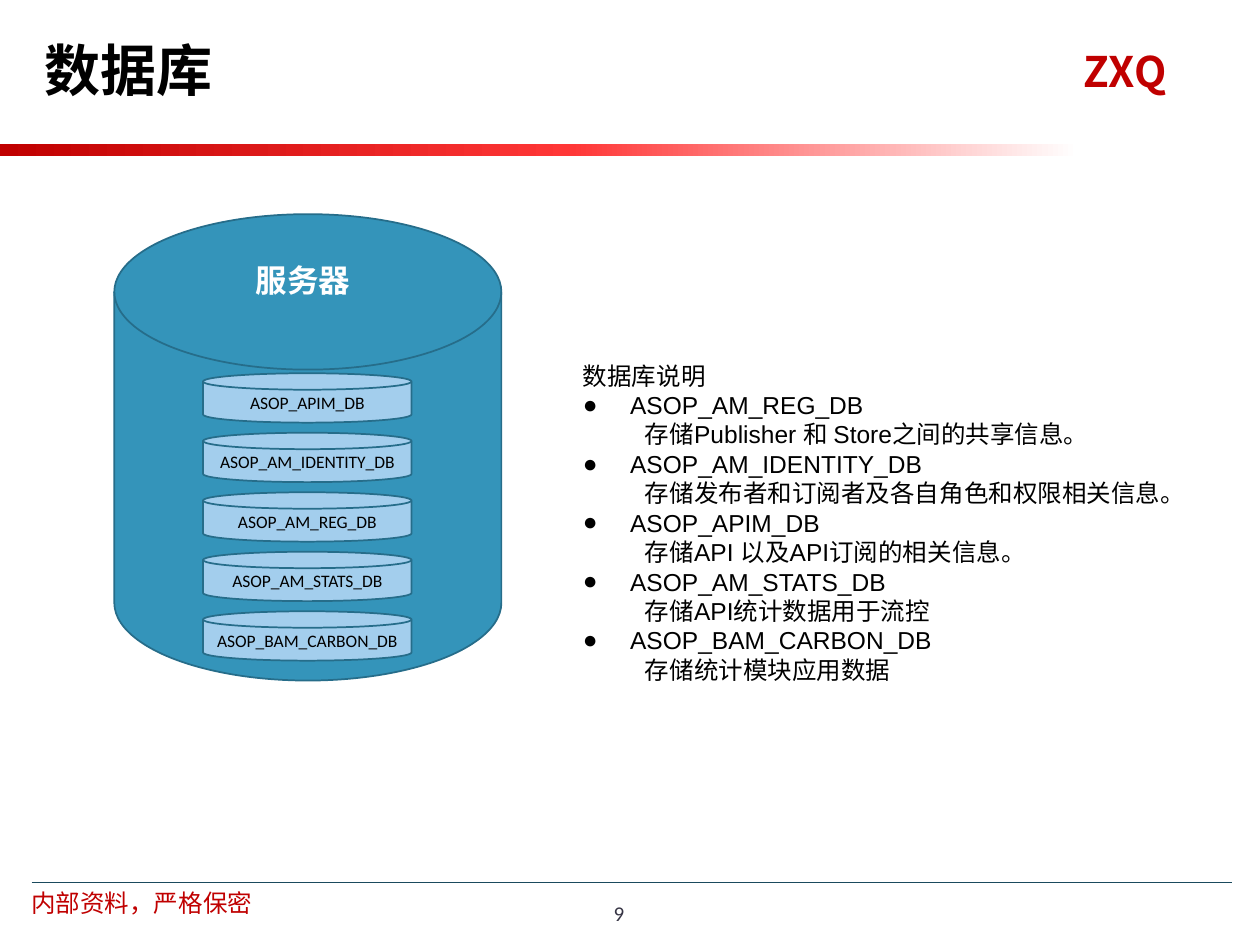
from copy import deepcopy
from pptx import Presentation
from pptx.dml.color import RGBColor
from pptx.enum.shapes import MSO_CONNECTOR, MSO_SHAPE
from pptx.enum.text import MSO_ANCHOR, MSO_AUTO_SIZE, PP_ALIGN
from pptx.oxml.ns import qn
from pptx.util import Pt
from lxml.etree import SubElement

RED = RGBColor(0xC0, 0x00, 0x00)
CORAL = RGBColor(0xFF, 0x37, 0x37)
WHITE = RGBColor(0xFF, 0xFF, 0xFF)
BLACK = RGBColor(0x00, 0x00, 0x00)
GREY = RGBColor(0x37, 0x35, 0x45)
BLUE = RGBColor(0x34, 0x94, 0xBA)
SKY = RGBColor(0xA3, 0xCE, 0xED)
EDGE = RGBColor(0x26, 0x6D, 0x8A)
NAVY = RGBColor(0x1A, 0x4A, 0x5D)
HAN = "Noto Sans CJK SC"

STORES = ["ASOP_APIM_DB", "ASOP_AM_IDENTITY_DB", "ASOP_AM_REG_DB",
          "ASOP_AM_STATS_DB", "ASOP_BAM_CARBON_DB"]
NOTES = [
    ("ASOP_AM_REG_DB", "存储Publisher 和 Store之间的共享信息。"),
    ("ASOP_AM_IDENTITY_DB", "存储发布者和订阅者及各自角色和权限相关信息。"),
    ("ASOP_APIM_DB", "存储API 以及API订阅的相关信息。"),
    ("ASOP_AM_STATS_DB", "存储API统计数据用于流控"),
    ("ASOP_BAM_CARBON_DB", "存储统计模块应用数据"),
]


def style(item, form):
    """Set each attribute named in a dict of format values."""
    for name, value in form.items():
        setattr(item, name, value)


def write(para, text, size, color, face=HAN, bold=False):
    """Add one run with its Latin and East Asian fonts."""
    run = para.add_run()
    run.text = text
    style(run.font, {"size": Pt(size), "name": face, "bold": bold})
    run.font.color.rgb = color
    SubElement(run.font._element, qn("a:ea"), typeface=HAN)


def label(slide, box, text, size, color, face=HAN, bold=False,
          align=PP_ALIGN.CENTER, anchor=MSO_ANCHOR.TOP):
    """Add a text box holding one line."""
    frame = slide.shapes.add_textbox(*map(Pt, box)).text_frame
    style(frame, {"word_wrap": True, "vertical_anchor": anchor})
    para = frame.paragraphs[0]
    para.alignment = align
    write(para, text, size, color, face, bold)


def head(slide, text):
    """Place and format the title."""
    title = slide.shapes.title
    style(title, {"left": Pt(18), "top": Pt(6), "width": Pt(121), "height": Pt(67)})
    style(title.text_frame, {"auto_size": MSO_AUTO_SIZE.NONE,
                             "vertical_anchor": MSO_ANCHOR.MIDDLE})
    para = title.text_frame.paragraphs[0]
    para.alignment = PP_ALIGN.LEFT
    write(para, text, 32, BLACK, bold=True)


def band(slide, box, stops):
    """Add a bar that fades through the given colour stops."""
    bar = slide.shapes.add_shape(MSO_SHAPE.RECTANGLE, *map(Pt, box))
    bar.shadow.inherit = False
    bar.line.fill.background()
    bar.fill.gradient()
    bar.fill.gradient_angle = 0
    marks = bar._element.spPr.find(".//" + qn("a:gsLst"))
    for _ in stops[2:]:
        marks.append(deepcopy(marks[0]))
    for mark, (place, color) in zip(bar.fill.gradient_stops, stops):
        mark.position = place
        mark.color.rgb = color


def rule(slide, left, right, top):
    """Draw the thin line above the footer."""
    line = slide.shapes.add_connector(
        MSO_CONNECTOR.STRAIGHT, Pt(left), Pt(top), Pt(right), Pt(top))
    line.line.color.rgb = NAVY
    line.line.width = Pt(0.5)
    SubElement(line._element.spPr, qn("a:effectLst"))


def disk(slide, box, fill, text=""):
    """Add a database cylinder with an optional name."""
    can = slide.shapes.add_shape(MSO_SHAPE.FLOWCHART_MAGNETIC_DISK, *map(Pt, box))
    can.shadow.inherit = False
    can.fill.solid()
    can.fill.fore_color.rgb = fill
    can.line.color.rgb = EDGE
    can.line.width = Pt(1)
    if text:
        frame = can.text_frame
        sides = ("left", "top", "right", "bottom")
        style(frame, {f"margin_{side}": 0 for side in sides})
        style(frame, {"word_wrap": False, "vertical_anchor": MSO_ANCHOR.MIDDLE})
        frame.paragraphs[0].alignment = PP_ALIGN.CENTER
        write(frame.paragraphs[0], text, 10, BLACK, "Calibri")


def entry(para, text, left, level=0, mark=None):
    """Fill one paragraph with a hanging indent and an optional bullet."""
    para.level = level
    props = para._p.get_or_add_pPr()
    props.set("marL", str(Pt(left)))
    props.set("indent", str(Pt(-27)))
    if mark:
        SubElement(props, qn("a:buFont"), typeface="Arial")
        SubElement(props, qn("a:buChar"), char=mark)
    else:
        SubElement(props, qn("a:buNone"))
    write(para, text, 14, BLACK, "Arial")


def guide(slide, box):
    """List what each database stores."""
    frame = slide.shapes.add_textbox(*map(Pt, box)).text_frame
    frame.word_wrap = True
    entry(frame.paragraphs[0], "数据库说明", 27)
    for name, use in NOTES:
        entry(frame.add_paragraph(), name, 27, mark="●")
        entry(frame.add_paragraph(), use, 62.5, level=1)


def main():
    """Build the slide and save it."""
    deck = Presentation()
    style(deck, {"slide_width": Pt(720), "slide_height": Pt(540)})
    slide = deck.slides.add_slide(deck.slide_layouts[5])
    band(slide, (0, 82.3, 616, 7), [(0, RED), (0.53, CORAL), (1, WHITE)])
    rule(slide, 18, 704, 504.5)
    label(slide, (8.5, 504, 145, 26), "内部资料，严格保密", 14, RED)
    label(slide, (575.5, 22.5, 134.5, 37.5), "ZXQ", 24, RED, bold=True)
    head(slide, "数据库")
    label(slide, (336.5, 507.5, 34.5, 29), "9", 12, GREY, "Calibri",
          anchor=MSO_ANCHOR.MIDDLE)
    disk(slide, (65.3, 122.4, 221.2, 266.5), BLUE)
    for row, name in enumerate(STORES):
        disk(slide, (116, 213.3 + 34 * row, 119.2, 28.2), SKY, name)
    guide(slide, (326, 202.5, 374.5, 281))
    label(slide, (139, 145.5, 79, 29), "服务器", 18, WHITE, "Arial", True,
          PP_ALIGN.LEFT)
    deck.save("out.pptx")


if __name__ == "__main__":
    main()
